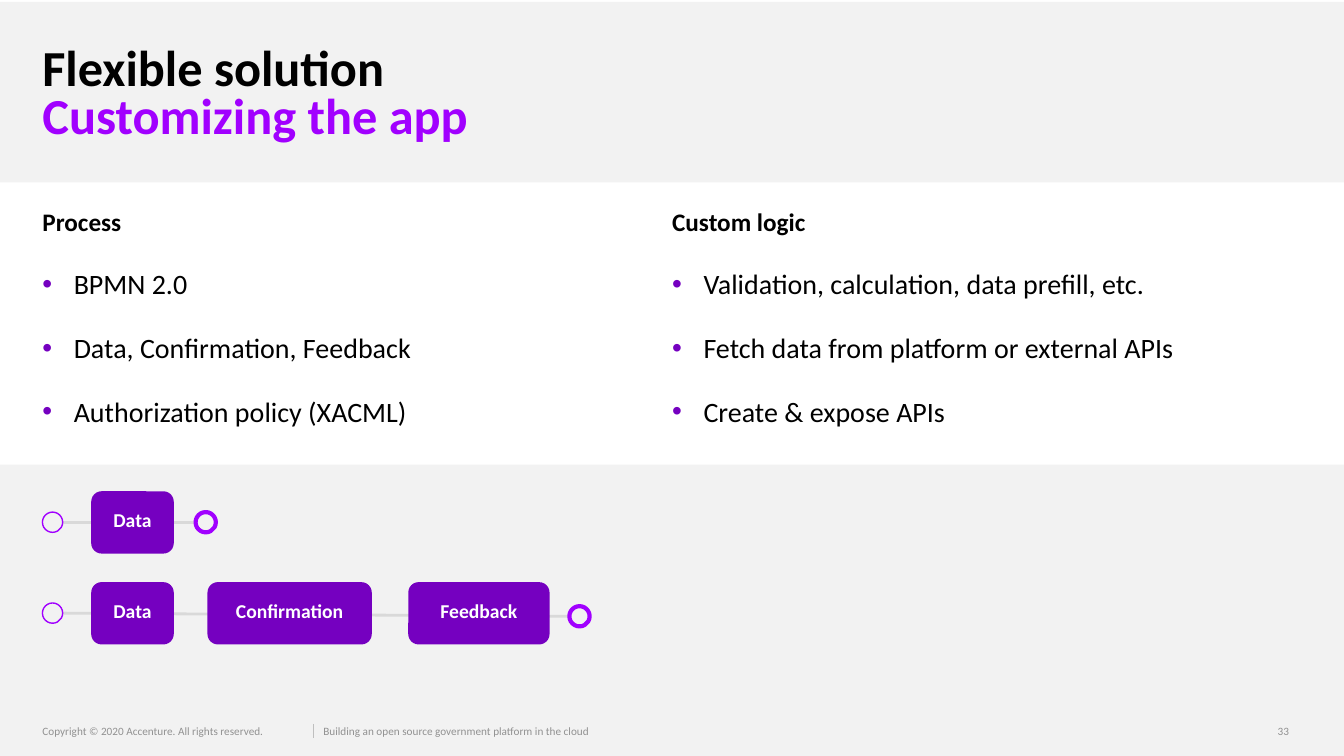
from lxml.etree import SubElement
from pptx import Presentation
from pptx.dml.color import RGBColor as Rgb
from pptx.enum.shapes import MSO_CONNECTOR as Link, MSO_SHAPE as Kind
from pptx.enum.text import MSO_ANCHOR as Anchor, PP_ALIGN as Align
from pptx.oxml.ns import qn
from pptx.util import Cm, Pt

COLORS = {
    "black": "000000", "white": "FFFFFF", "band": "F2F2F2", "violet": "A100FF",
    "purple": "7500C0", "track": "D9D9D9", "rule": "BFBFBF",
}
WIDE, HIGH = 33.87, 19.05
LEFT, RIGHT = 1.07, 16.94
FOOT = 18.11
RING = 0.51


def tint(name):
    return Rgb.from_string(COLORS[name])


class Board:
    face = "Calibri"

    def __init__(self, slide):
        self.items = slide.shapes

    def style(self, font, size, color="black", bold=False):
        font.name, font.size, font.bold = self.face, Pt(size), bold
        font.color.rgb = tint(color)

    def shape(self, kind, x, y, w, h, fill=None, line=None, width=1):
        item = self.items.add_shape(kind, Cm(x), Cm(y), Cm(w), Cm(h))
        item.shadow.inherit = False
        if fill:
            item.fill.solid()
            item.fill.fore_color.rgb = tint(fill)
        else:
            item.fill.background()
        if line:
            item.line.color.rgb = tint(line)
            item.line.width = Pt(width)
        else:
            item.line.fill.background()
        return item

    def line(self, x, y, end, drop, color, width):
        item = self.items.add_connector(Link.STRAIGHT, Cm(x), Cm(y), Cm(end), Cm(drop))
        item.line.color.rgb = tint(color)
        item.line.width = Pt(width)
        SubElement(item._element.spPr, qn("a:effectLst"))

    def inset(self, frame, sides):
        frame.margin_left, frame.margin_top, frame.margin_right, frame.margin_bottom = map(Cm, sides)

    def text(self, x, y, w, h, sides):
        frame = self.items.add_textbox(Cm(x), Cm(y), Cm(w), Cm(h)).text_frame
        frame.word_wrap = True
        self.inset(frame, sides)
        return frame

    def title(self, head, sub):
        para = self.text(LEFT, 1.07, 31.75, 2.74, (0, 0.13, 0, 0)).paragraphs[0]
        para.line_spacing = 0.8
        self.style(para.font, 36, bold=True)
        para.add_run().text = head
        para.add_line_break()
        run = para.add_run()
        run.text = sub
        run.font.color.rgb = tint("violet")

    def bullet(self, para):
        props = para._p.get_or_add_pPr()
        props.set("marL", str(Cm(0.79)))
        props.set("indent", str(-Cm(0.79)))
        color = SubElement(props, qn("a:buClr"))
        SubElement(color, qn("a:srgbClr"), val=COLORS["purple"])
        SubElement(props, qn("a:buFont"), typeface="Arial")
        SubElement(props, qn("a:buChar"), char="•")

    def column(self, x, w, head, points):
        frame = self.text(x, 5.28, w, 5.49, (0, 0, 0, 0))
        for i, words in enumerate([head, *points]):
            para = frame.add_paragraph() if i else frame.paragraphs[0]
            para.text = words
            para.line_spacing = 0.9
            para.space_after = Pt(12)
            if i:
                para.space_before = Pt(12)
                self.bullet(para)
            self.style(para.font, 20 if i else 18, bold=not i)

    def footer(self, x, w, words, pad=0):
        para = self.text(x, FOOT, w, 0.58, (pad, 0.13, 0.25, 0.13)).paragraphs[0]
        para.text = words
        self.style(para.font, 8)
        color = para.font._element.find(".//" + qn("a:srgbClr"))
        SubElement(color, qn("a:alpha"), val="40000")

    def step(self, x, y, w, words):
        item = self.shape(Kind.ROUNDED_RECTANGLE, x, y, w, 1.57, "purple")
        frame = item.text_frame
        self.inset(frame, (0, 0, 0, 0.13))
        frame.vertical_anchor = Anchor.MIDDLE
        para = frame.paragraphs[0]
        para.text = words
        para.alignment = Align.CENTER
        self.style(para.font, 14, "white", True)

    def flow(self, top, steps, end, drop=0):
        mid = top + 0.78
        self.line(LEFT + RING, mid, end, mid + drop, "track", 2)
        for x, y, width in ((LEFT, mid, 1), (end, mid + drop, 3)):
            self.shape(Kind.OVAL, x, y - RING / 2, RING, RING, line="violet", width=width)
        for x, w, words in steps:
            self.step(x, top, w, words)


def main():
    deck = Presentation()
    deck.slide_width, deck.slide_height = Cm(WIDE), Cm(HIGH)
    board = Board(deck.slides.add_slide(deck.slide_layouts[6]))

    for y, h in ((0.05, 4.55), (11.71, 7.34)):
        board.shape(Kind.RECTANGLE, 0, y, WIDE, h, "band")
    board.title("Flexible solution", "Customizing the app")
    board.column(LEFT, 11.58, "Process", [
        "BPMN 2.0", "Data, Confirmation, Feedback", "Authorization policy (XACML)"])
    board.column(RIGHT, 15.04, "Custom logic", [
        "Validation, calculation, data prefill, etc.",
        "Fetch data from platform or external APIs", "Create & expose APIs"])

    data = (2.3, 2.08, "Data")
    board.flow(12.38, [data], 4.93)
    board.flow(14.67, [data, (5.23, 4.14, "Confirmation"), (10.29, 3.56, "Feedback")], 14.35, 0.08)

    board.footer(LEFT, 6.6, "Copyright © 2020 Accenture. All rights reserved.")
    board.line(7.9, 18.24, 7.9, 18.59, "rule", 0.5)
    board.footer(8.15, 8.53, "Building an open source government platform in the cloud")
    board.footer(31.95, 1.07, "33", 0.25)
    deck.save("out.pptx")


if __name__ == "__main__":
    main()
